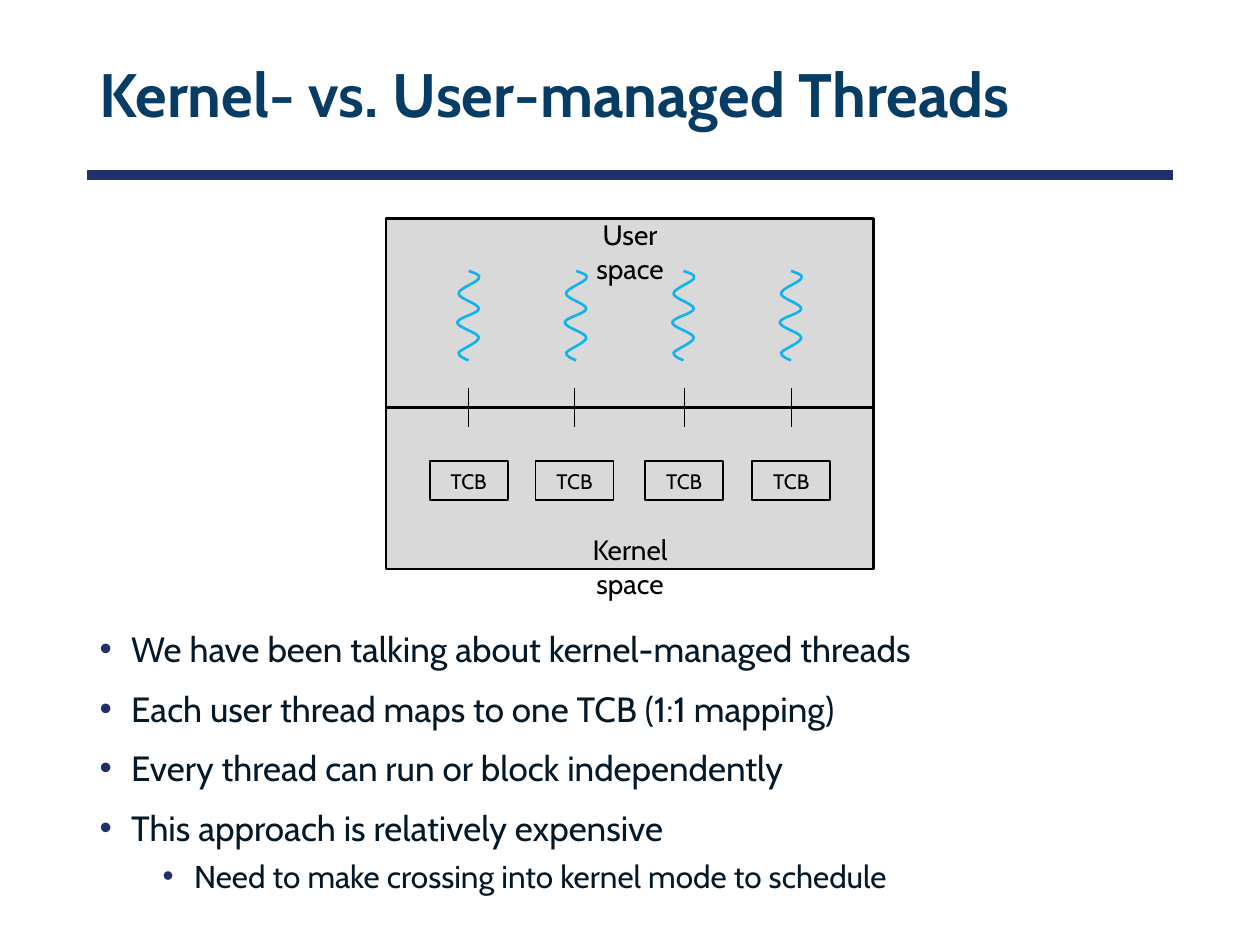
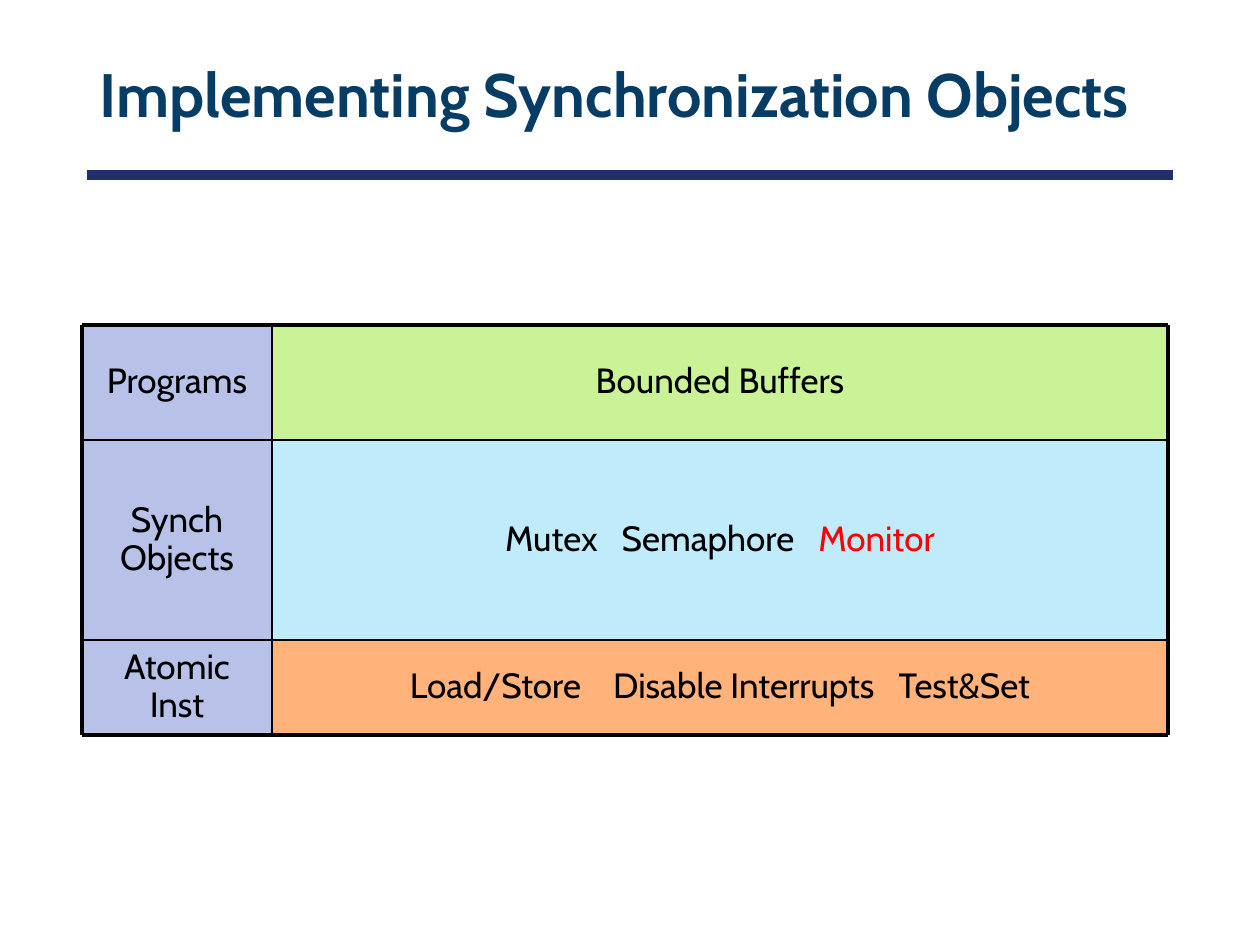
import dataclasses
import itertools

import lxml.etree
import pptx
import pptx.dml.color
import pptx.enum.shapes
import pptx.enum.text
import pptx.oxml.ns
import pptx.util

Align = pptx.enum.text.PP_ALIGN
Anchor = pptx.enum.text.MSO_ANCHOR
qn = pptx.oxml.ns.qn

# The slide is a grid of 100 columns by 75 rows
COLUMNS, ROWS = 100, 75
WIDTH, HEIGHT = pptx.util.Inches(10), pptx.util.Inches(7.5)


@dataclasses.dataclass(frozen=True)
class Theme:
    font: str = "Cabin"
    navy: str = "21306A"
    title: str = "073C65"
    body: str = "031828"
    black: str = "000000"
    gray: str = "D9D9D9"
    cyan: str = "12B2EB"
    red: str = "FF0000"
    lilac: str = "B8C2E9"
    lime: str = "CAF297"
    sky: str = "BFEBFA"
    peach: str = "FFB37A"
    title_size: float = 35
    text_size: float = 20
    sub_size: float = 18
    label_size: float = 16
    box_size: float = 12
    rule: float = 6
    thick: float = 2.25
    medium: float = 1.5
    thin: float = 1
    hair: float = 0.75


def color(code):
    return pptx.dml.color.RGBColor.from_string(code)


def assign(target, values):
    for name, value in values.items():
        setattr(target, name, value)


def column(count):
    return round(WIDTH * count / COLUMNS)


def row(count):
    return round(HEIGHT * count / ROWS)


def place(left, top, width, height):
    return column(left), row(top), column(width), row(height)


class SlideWriter:
    def __init__(self, deck, theme):
        self.deck, self.theme, self.page = deck, theme, None

    def new_page(self, layout, title):
        self.page = self.deck.slides.add_slide(self.deck.slide_layouts[layout])
        box = self.page.shapes.title
        self.fit(box, 6.9, 2.35, 86.2, 10.8)
        box.text_frame.vertical_anchor = Anchor.MIDDLE
        para = box.text_frame.paragraphs[0]
        assign(para, {"alignment": Align.LEFT, "line_spacing": 0.9})
        self.span(para, title, self.theme.title_size, self.theme.title, bold=True)

    def master_rule(self):
        """Move one title rule to the master, so that every page shows it."""
        rule = self.line(6.9, 13.9, 93.1, 13.9, self.theme.navy, self.theme.rule).element
        rule.nvCxnSpPr.cNvPr.set("id", "90")
        self.deck.slide_master.shapes.element.append(rule)

    def fit(self, box, left, top, width, height):
        names = ("left", "top", "width", "height")
        assign(box, dict(zip(names, place(left, top, width, height))))
        assign(box.text_frame, {"word_wrap": True,
                                "auto_size": pptx.enum.text.MSO_AUTO_SIZE.NONE})

    def span(self, para, text, size, ink, bold=False):
        run = para.add_run()
        run.text = text
        assign(run.font, {"name": self.theme.font, "size": pptx.util.Pt(size), "bold": bold})
        run.font.color.rgb = color(ink)
        return run

    def stroke(self, shape, ink, weight):
        shape.line.color.rgb = color(ink)
        shape.line.width = pptx.util.Pt(weight)

    def line(self, x1, y1, x2, y2, ink, weight):
        connector = self.page.shapes.add_connector(
            pptx.enum.shapes.MSO_CONNECTOR.STRAIGHT, column(x1), row(y1), column(x2), row(y2))
        self.stroke(connector, ink, weight)
        lxml.etree.SubElement(connector.element.spPr, qn("a:effectLst"))
        return connector

    def rectangle(self, left, top, width, height, weight=0, fill=None):
        box = self.page.shapes.add_shape(
            pptx.enum.shapes.MSO_SHAPE.RECTANGLE, *place(left, top, width, height))
        box.shadow.inherit = False
        if weight:
            self.stroke(box, self.theme.black, weight)
        else:
            box.line.fill.background()
        if fill:
            box.fill.solid()
            box.fill.fore_color.rgb = color(fill)
        else:
            box.fill.background()
        box.text_frame.vertical_anchor = Anchor.MIDDLE
        box.text_frame.paragraphs[0].alignment = Align.CENTER
        return box

    def control_block(self, left, top, width, height):
        box = self.rectangle(left, top, width, height, self.theme.thin)
        assign(box.text_frame, {"margin_left": 0, "margin_right": 0})
        self.span(box.text_frame.paragraphs[0], "TCB", self.theme.box_size, self.theme.black)

    def cell(self, left, top, width, height, fill, parts):
        """Parts are (text, ink, widening in points of the space that follows)."""
        box = self.rectangle(left, top, width, height, fill=fill)
        para = box.text_frame.paragraphs[0]
        para.line_spacing = 0.9
        for text, ink, gap in parts:
            self.span(para, text, self.theme.text_size, ink)
            if gap:
                space = self.span(para, " ", self.theme.text_size, ink)
                space.font._element.set("spc", str(round(gap * 100)))

    def label(self, left, top, width, height, text):
        box = self.page.shapes.add_textbox(*place(left, top, width, height))
        box.text_frame.word_wrap = True
        para = box.text_frame.paragraphs[0]
        para.alignment = Align.CENTER
        self.span(para, text, self.theme.label_size, self.theme.black)

    def curve(self, left, top, start, pieces, ink, weight):
        """Draw Bézier pieces (control, control, end), measured from left and top."""
        builder = self.page.shapes.build_freeform(column(left + start[0]), row(top + start[1]))
        builder.add_line_segments([(column(left + x), row(top + y)) for _, _, (x, y) in pieces],
                                  close=False)
        shape = builder.convert_to_shape()
        shape.shadow.inherit = False
        shape.fill.background()
        self.stroke(shape, ink, weight)
        # Bend each straight segment
        for segment, piece in zip(list(shape.element.iter(qn("a:lnTo"))), pieces):
            segment.tag = qn("a:cubicBezTo")
            segment.clear()
            for x, y in piece:
                lxml.etree.SubElement(segment, qn("a:pt"), x=str(column(x)), y=str(row(y)))

    def bullets(self, left, top, width, height, items):
        box = self.page.placeholders[1]
        self.fit(box, left, top, width, height)
        for index, (level, text) in enumerate(items):
            frame = box.text_frame
            para = frame.add_paragraph() if index else frame.paragraphs[0]
            assign(para, {"level": level, "space_before": pptx.util.Pt(5 if level else 10)})
            props = para._p.get_or_add_pPr()
            props.set("marL", str(column(2.5 + 5 * level)))
            props.set("indent", str(column(-2.5)))
            tint = lxml.etree.SubElement(props, qn("a:buClr"))
            lxml.etree.SubElement(tint, qn("a:srgbClr"), val=self.theme.navy)
            lxml.etree.SubElement(props, qn("a:buFont"), typeface="Arial")
            lxml.etree.SubElement(props, qn("a:buChar"), char="•")
            size = self.theme.sub_size if level else self.theme.text_size
            self.span(para, text, size, self.theme.body)


# Bézier pieces of one thread squiggle, in grid units from its top left corner
SQUIGGLE_START = (0.9, 0)
SQUIGGLE = [
    ((1.4, 0.2), (1.9, 0.3), (1.7, 0.6)),
    ((1.6, 0.9), (0.1, 1.4), (0.1, 1.8)),
    ((0.1, 2.2), (1.7, 2.6), (1.7, 3.0)),
    ((1.7, 3.4), (0, 3.7), (0, 4.1)),
    ((0, 4.5), (1.7, 4.9), (1.7, 5.3)),
    ((1.7, 5.7), (0.3, 6.2), (0.1, 6.5)),
    ((0, 6.8), (0.9, 7.1), (0.9, 7.1)),
]


def threads_page(writer):
    theme = writer.theme
    writer.new_page(1, "Kernel- vs. User-managed Threads")
    writer.master_rule()
    writer.bullets(6.9, 49.3, 86.2, 23.3, [
        (0, "We have been talking about kernel-managed threads"),
        (0, "Each user thread maps to one TCB (1:1 mapping)"),
        (0, "Every thread can run or block independently"),
        (0, "This approach is relatively expensive"),
        (1, "Need to make crossing into kernel mode to schedule"),
    ])

    # User space above, kernel space below
    writer.rectangle(30.65, 17.35, 38.7, 27.8, theme.medium, theme.gray)
    writer.line(30.65, 32.35, 69.35, 32.35, theme.black, theme.medium)

    # One squiggle, link and control block per thread
    centers = (37.2, 45.6, 54.3, 62.8)
    for index in range(len(centers)):
        writer.curve(36.3 + 8.53 * index, 21.5, SQUIGGLE_START, SQUIGGLE,
                     theme.cyan, theme.medium)
    for center in centers:
        writer.line(center, 33.9, center, 30.8, theme.black, theme.hair)
    for width, top, text in ((11.7, 16.8, "User space"), (13.2, 41.8, "Kernel space")):
        writer.label((COLUMNS - width) / 2, top, width, 3.7, text)
    for center in centers:
        writer.control_block(center - 3.1, 36.6, 6.2, 3.1)


def objects_page(writer):
    theme = writer.theme
    writer.new_page(5, "Implementing Synchronization Objects")
    left, split, right = 6.5, 21.6, 92.7
    edges = (25.8, 34.9, 50.8, 58.3)
    layers = [
        ("Programs", theme.lime, [("Bounded Buffers", theme.black, 0)]),
        ("Synch Objects", theme.sky, [("Mutex", theme.black, 9.2),
                                      ("Semaphore", theme.black, 9.2),
                                      ("Monitor", theme.red, 0)]),
        ("Atomic Inst", theme.peach, [("Load/Store", theme.black, 13.8),
                                      ("Disable Interrupts", theme.black, 9.2),
                                      ("Test&Set", theme.black, 0)]),
    ]

    # Layer names and their contents
    for (name, fill, parts), (top, bottom) in zip(layers, itertools.pairwise(edges)):
        writer.cell(split, top, right - split, bottom - top, fill, parts)
        writer.cell(left, top, split - left, bottom - top, theme.lilac,
                    [(name, theme.black, 0)])

    # Thick outer frame, thin inner lines
    for y in edges:
        weight = theme.thick if y in (edges[0], edges[-1]) else theme.thin
        writer.line(left, y, right, y, theme.black, weight)
    for x in (left, split, right):
        weight = theme.thin if x == split else theme.thick
        writer.line(x, edges[0], x, edges[-1], theme.black, weight)


def main():
    deck = pptx.Presentation()
    assign(deck, {"slide_width": WIDTH, "slide_height": HEIGHT})
    writer = SlideWriter(deck, Theme())
    threads_page(writer)
    objects_page(writer)
    deck.save("out.pptx")


if __name__ == "__main__":
    main()
